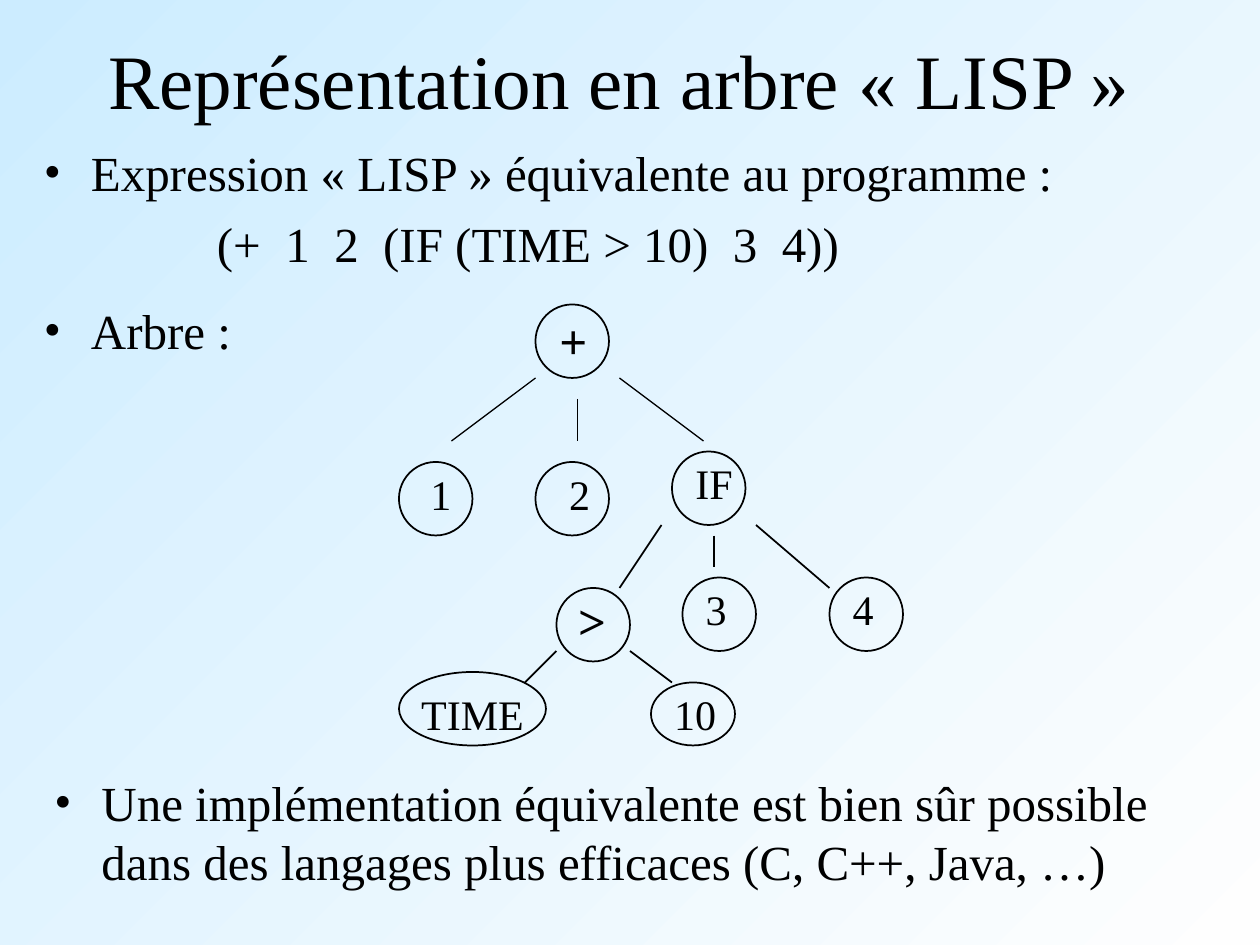
from lxml import etree
from pptx import Presentation
from pptx import util as u
from pptx.dml.color import RGBColor
from pptx.enum import shapes, text
from pptx.oxml.ns import qn

BLACK = RGBColor(0x00, 0x00, 0x00)
NEAR_WHITE = RGBColor(0xFE, 0xFE, 0xFE)
PALE_BLUE = RGBColor(0xCC, 0xEC, 0xFF)
FONT = "Times New Roman"
HANGING = u.Cm(0.95)
EXPRESSION_INDENT = u.Cm(3.49)

NODES = [
    ("+", (51, 29, 7, 7), (54.6, 29, 5), 28, True),
    ("IF", (64, 43, 7, 7), (68, 43, 5.9), 24, False),
    ("1", (38, 44, 7, 7), (42, 44, 4.3), 24, False),
    ("2", (51, 44, 7, 7), (55.2, 44, 4.3), 24, False),
    (">", (53, 56, 7, 7), (56.4, 55.6, 5), 28, True),
    ("TIME", (38, 64, 14, 7), (45, 65, 12.1), 24, False),
    ("10", (62, 65, 8, 6), (66.2, 65, 6.4), 24, False),
    ("3", (65, 55, 7, 7), (68.2, 55, 4.3), 24, False),
    ("4", (79, 55, 7, 7), (82.2, 55, 4.3), 24, False),
]

ROOT_BRANCHES = [(51, 36, 43, 42), (55, 38, 55, 42), (59, 36, 67, 42)]
LOWER_BRANCHES = [
    (63, 50, 59, 56), (68, 51, 68, 54), (72, 50, 79, 56),
    (53, 62, 50, 65), (60, 62, 64, 65),
]


def grid(*twelfths):
    return [u.Cm(2.54 * n / 12) for n in twelfths]


def format_runs(paragraph, size, bold=False):
    for run in paragraph.runs:
        run.font.name = FONT
        run.font.size = u.Pt(size)
        run.font.bold = bold
        run.font.color.rgb = BLACK


def add_text(parent, box, lines, size, bold=False):
    frame = parent.add_textbox(*grid(*box)).text_frame
    frame.word_wrap = True
    frame.text = "\n".join(lines)
    for paragraph in frame.paragraphs:
        format_runs(paragraph, size, bold)
    return frame


def centre(frame):
    frame.vertical_anchor = text.MSO_ANCHOR.MIDDLE
    frame.paragraphs[0].alignment = text.PP_ALIGN.CENTER


def set_bullet(paragraph):
    props = paragraph._p.get_or_add_pPr()
    props.set("marL", str(HANGING))
    props.set("indent", str(-HANGING))
    etree.SubElement(props, qn("a:buFont")).set("typeface", FONT)
    etree.SubElement(props, qn("a:buChar")).set("char", "•")


def add_bullet(parent, box, *lines):
    frame = add_text(parent, box, lines, 28)
    for paragraph in frame.paragraphs:
        paragraph.space_before = u.Pt(7)
    set_bullet(frame.paragraphs[0])
    for continuation in frame.paragraphs[1:]:
        continuation._p.get_or_add_pPr().set("marL", str(EXPRESSION_INDENT))


def add_node(tree, label, circle, label_place, size, bold):
    middle, top, width = label_place
    height = 6.8 if size == 28 else 6
    frame = add_text(tree, (middle - width / 2, top, width, height), [label], size, bold)
    frame.word_wrap = False
    frame.margin_left = frame.margin_right = u.Cm(0)
    centre(frame)
    outline = tree.add_shape(shapes.MSO_SHAPE.OVAL, *grid(*circle))
    outline.shadow.inherit = False
    outline.fill.background()
    outline.line.color.rgb = BLACK
    outline.line.width = u.Pt(1)


def add_branch(tree, ends, weight):
    branch = tree.add_connector(shapes.MSO_CONNECTOR.STRAIGHT, *grid(*ends))
    branch.line.color.rgb = BLACK
    branch.line.width = u.Pt(weight)
    etree.SubElement(branch._element.spPr, qn("a:effectLst"))


def paint_background(slide):
    fill = slide.background.fill
    fill.gradient()
    fill.gradient_angle = 135
    for stop, colour in zip(fill.gradient_stops, (NEAR_WHITE, PALE_BLUE)):
        stop.color.rgb = colour


def main():
    deck = Presentation()
    deck.slide_width, deck.slide_height = u.Cm(25.4), u.Cm(19.05)
    slide = deck.slides.add_slide(deck.slide_layouts[6])
    paint_background(slide)

    centre(add_text(slide.shapes, (0, 0, 118, 15), ["Représentation en arbre « LISP »"], 44))
    add_bullet(slide.shapes, (3, 13, 113, 14),
               "Expression « LISP » équivalente au programme :",
               "(+  1  2  (IF (TIME > 10)  3  4))")

    tree = slide.shapes.add_group_shape().shapes
    for node in NODES:
        add_node(tree, *node)
    for branches, weight in ((ROOT_BRANCHES, 0.75), (LOWER_BRANCHES, 1)):
        for ends in branches:
            add_branch(tree, ends, weight)

    add_bullet(slide.shapes, (3, 28, 31, 8), "Arbre :")
    add_bullet(slide.shapes, (4, 73, 113, 14),
               "Une implémentation équivalente est bien sûr possible "
               "dans des langages plus efficaces (C, C++, Java, …)")
    deck.save("out.pptx")


if __name__ == "__main__":
    main()
